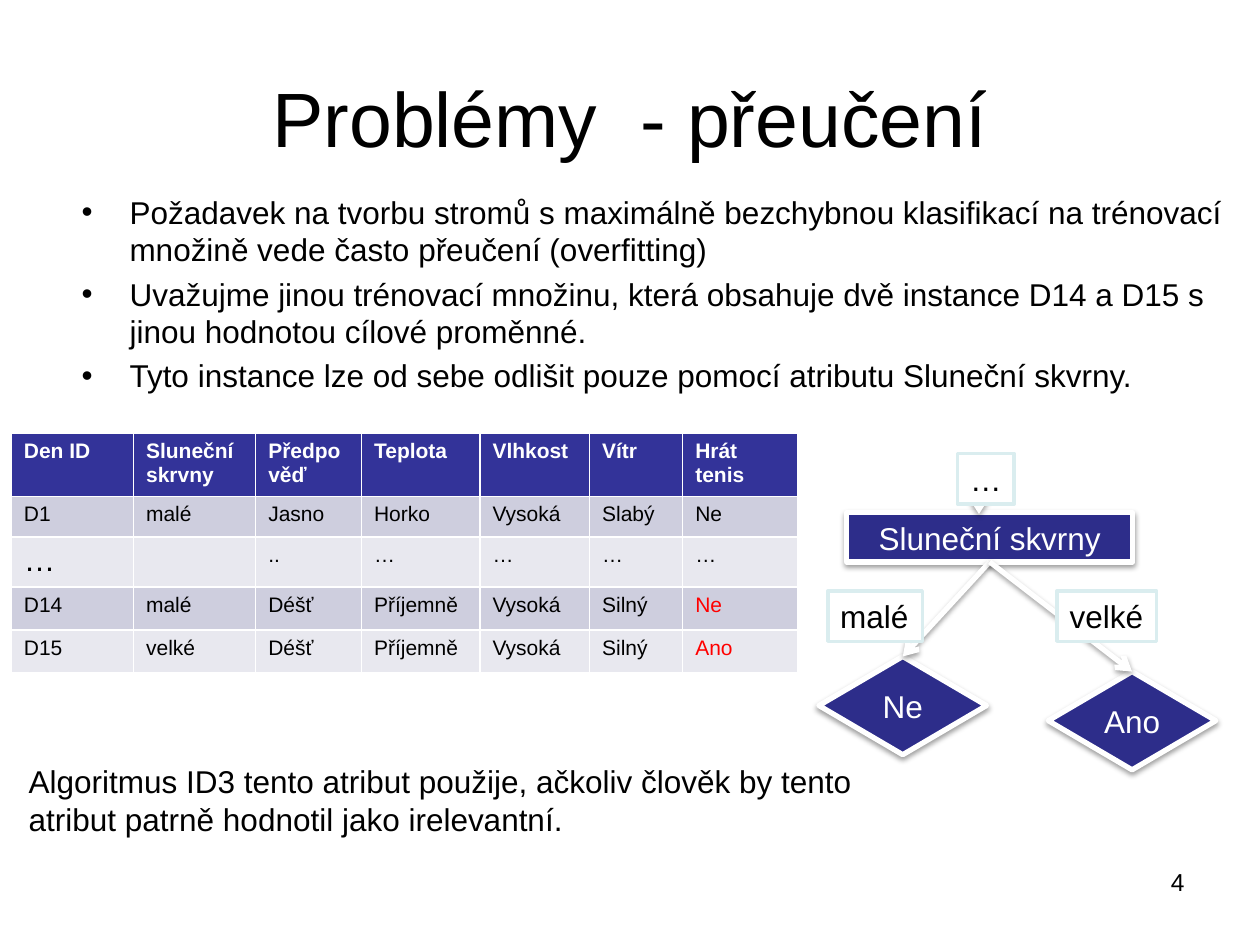
from lxml import etree
from pptx import Presentation
from pptx.dml.color import RGBColor
from pptx.enum.shapes import MSO_CONNECTOR, MSO_SHAPE
from pptx.enum.text import MSO_ANCHOR, MSO_AUTO_SIZE, PP_ALIGN
from pptx.oxml.ns import qn
from pptx.util import Inches, Pt

RECTANGLE, DIAMOND = MSO_SHAPE.RECTANGLE, MSO_SHAPE.DIAMOND
STRAIGHT = MSO_CONNECTOR.STRAIGHT
MIDDLE = MSO_ANCHOR.MIDDLE
FIT_SHAPE = MSO_AUTO_SIZE.SHAPE_TO_FIT_TEXT
LEFT, CENTER, RIGHT = PP_ALIGN.LEFT, PP_ALIGN.CENTER, PP_ALIGN.RIGHT
TOP_SITE, BOTTOM_SITE = 0, 2
BLACK, WHITE, RED = "000000", "FFFFFF", "FF0000"
NODE_FILL, LABEL_LINE, HEADER_FILL = "2D2D8A", "DAEDEF", "333399"
BAND_FILLS = ("CECEDE", "E8E8EF")

BULLETS = [
    "Požadavek na tvorbu stromů s maximálně bezchybnou klasifikací na trénovací množině vede často přeučení (overfitting)",
    "Uvažujme jinou trénovací množinu, která obsahuje dvě instance D14 a D15 s jinou hodnotou cílové proměnné.",
    "Tyto instance lze od sebe odlišit pouze pomocí atributu Sluneční skvrny.",
]
CONCLUSION = "Algoritmus ID3 tento atribut použije, ačkoliv člověk by tento atribut patrně hodnotil jako irelevantní."
DAYS = [
    ["Den ID", "Sluneční skrvny", "Předpověď", "Teplota", "Vlhkost", "Vítr", "Hrát tenis"],
    ["D1", "malé", "Jasno", "Horko", "Vysoká", "Slabý", "Ne"],
    ["…", "", "..", "…", "…", "…", "…"],
    ["D14", "malé", "Déšť", "Příjemně", "Vysoká", "Silný", "Ne"],
    ["D15", "velké", "Déšť", "Příjemně", "Vysoká", "Silný", "Ano"],
]
COLUMN_WIDTHS = [0.97, 0.97, 0.84, 0.94, 0.87, 0.74, 0.91]
ROW_HEIGHTS = [0.46, 0.32, 0.38, 0.34, 0.34]


def color(value):
    """Turn a hex string into a colour."""
    return RGBColor.from_string(value)


def inches(*lengths):
    """Convert several lengths to inches."""
    return [Inches(length) for length in lengths]


def style(frame, size=18, fill=BLACK, align=LEFT, bold=False):
    """Format all text in a frame."""
    for para in frame.paragraphs:
        para.alignment = align
        for span in para.runs:
            span.font.name = "Arial"
            span.font.size = Pt(size)
            span.font.bold = bold
            span.font.color.rgb = color(fill)


def add_effects(shape, shadow=True):
    """Give a shape a soft shadow below it, or none."""
    effects = etree.SubElement(shape._element.spPr, qn("a:effectLst"))
    if shadow:
        outer = etree.SubElement(effects, qn("a:outerShdw"), blurRad="40000",
                                 dist="20000", dir="5400000", rotWithShape="0")
        black = etree.SubElement(outer, qn("a:srgbClr"), val=BLACK)
        etree.SubElement(black, qn("a:alpha"), val="38000")


def add_box(page, place, kind, text, fill, line, width):
    """Add a filled and outlined shape with text."""
    box = page.shapes.add_shape(kind, *inches(*place))
    box.fill.solid()
    box.fill.fore_color.rgb = color(fill)
    box.line.color.rgb = color(line)
    box.line.width = Pt(width)
    box.text_frame.text = text
    return box


def add_node(page, place, kind, text):
    """Add a node of the decision tree."""
    node = add_box(page, place, kind, text, NODE_FILL, WHITE, 3)
    node.text_frame.vertical_anchor = MIDDLE
    style(node.text_frame, fill=WHITE, align=CENTER)
    add_effects(node)
    return node


def add_label(page, place, text):
    """Add a framed label for a branch."""
    label = add_box(page, place, RECTANGLE, text, WHITE, LABEL_LINE, 2)
    label.shadow.inherit = False
    label.text_frame.word_wrap = False
    label.text_frame.auto_size = FIT_SHAPE
    label.text_frame.vertical_anchor = MSO_ANCHOR.TOP
    style(label.text_frame)


def add_arrow(page, start=(0, 0), end=(0, 0), parent=None, child=None):
    """Add a white arrow between two points or two nodes."""
    arrow = page.shapes.add_connector(STRAIGHT, *inches(*start, *end))
    if parent is not None:
        arrow.begin_connect(parent, BOTTOM_SITE)
        arrow.end_connect(child, TOP_SITE)
    arrow.line.color.rgb = color(WHITE)
    arrow.line.width = Pt(3)
    etree.SubElement(arrow.line._get_or_add_ln(), qn("a:tailEnd"), type="arrow")
    add_effects(arrow)


def add_text(page, place, text, **formats):
    """Add a wrapped text box."""
    box = page.shapes.add_textbox(*inches(*place))
    box.text_frame.word_wrap = True
    box.text_frame.text = text
    style(box.text_frame, **formats)
    return box


def add_bullets(page, place, items):
    """Add a bulleted list with hanging indents."""
    box = add_text(page, place, "\n".join(items))
    for index, para in enumerate(box.text_frame.paragraphs):
        properties = para._p.get_or_add_pPr()
        properties.set("marL", str(Inches(0.38)))
        properties.set("indent", str(-Inches(0.38)))
        etree.SubElement(properties, qn("a:buFont"), typeface="Arial")
        etree.SubElement(properties, qn("a:buChar"), char="•")
        if index:
            para.space_before = Pt(3.6)


def add_days_table(page, left, top):
    """Add the table of training days."""
    frame = page.shapes.add_table(len(DAYS), len(DAYS[0]), *inches(
        left, top, sum(COLUMN_WIDTHS), sum(ROW_HEIGHTS)))
    table = frame.table
    for column, width in zip(table.columns, COLUMN_WIDTHS):
        column.width = Inches(width)
    for row, height in zip(table.rows, ROW_HEIGHTS):
        row.height = Inches(height)
    for row, values in enumerate(DAYS):
        for column, value in enumerate(values):
            cell = table.cell(row, column)
            cell.text = value
            cell.fill.solid()
            cell.fill.fore_color.rgb = color(BAND_FILLS[(row - 1) % 2] if row else HEADER_FILL)
            conflict = row > 2 and column == len(values) - 1
            ink = RED if conflict else BLACK if row else WHITE
            size = 18 if (row, column) == (2, 0) else 12
            style(cell.text_frame, size, ink, bold=row == 0)


def add_tree(page):
    """Add the decision tree with its branch labels."""
    root = add_node(page, (6.72, 4.07, 2.27, 0.39), RECTANGLE, "Sluneční skvrny")
    for left, top, answer in ((6.5, 5.21, "Ne"), (8.32, 5.33, "Ano")):
        leaf = add_node(page, (left, top, 1.33, 0.78), DIAMOND, answer)
        add_arrow(page, parent=root, child=leaf)
    add_arrow(page, (7.77, 3.92), (7.77, 4.08))
    add_label(page, (6.57, 4.69, 0.75, 0.4), "malé")
    add_label(page, (8.39, 4.69, 0.79, 0.4), "velké")
    add_label(page, (7.6, 3.6, 0.45, 0.4), "…")


def main():
    """Build the slide and save it."""
    deck = Presentation()
    deck.slide_width, deck.slide_height = inches(10, 7.5)
    page = deck.slides.add_slide(deck.slide_layouts[5])
    title = page.shapes.title
    title.left, title.top, title.width, title.height = inches(0.5, 0.3, 9, 1.25)
    title.text_frame.text = "Problémy  - přeučení"
    title.text_frame.vertical_anchor = MIDDLE
    style(title.text_frame, 44, align=CENTER)
    add_bullets(page, (0.55, 1.48, 9.65, 4.95), BULLETS)
    add_days_table(page, 0.09, 3.44)
    add_tree(page)
    add_text(page, (0.13, 6, 6.73, 0.71), CONCLUSION)
    add_text(page, (7.17, 6.83, 2.33, 0.52), "4", size=14, align=RIGHT)
    deck.save("out.pptx")


if __name__ == "__main__":
    main()
